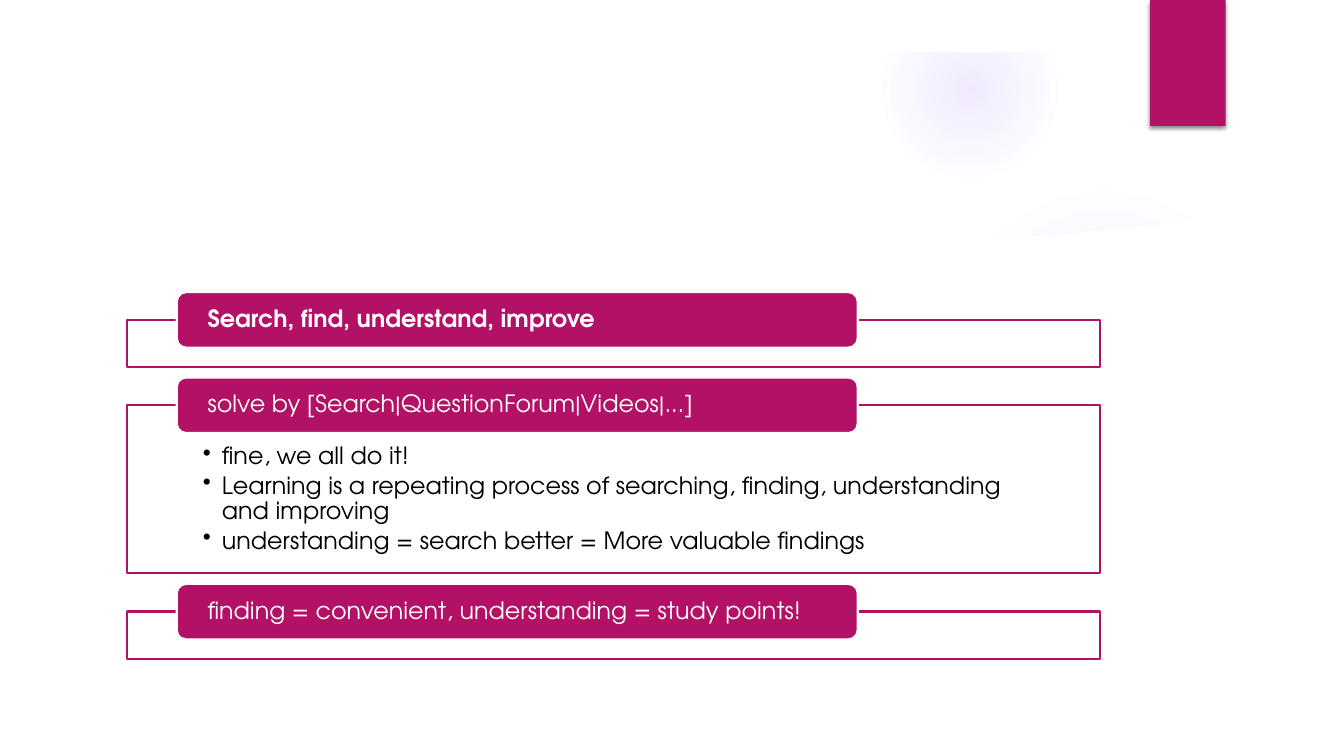
from lxml.etree import SubElement
from pptx import Presentation
from pptx.dml.color import RGBColor
from pptx.enum.shapes import MSO_SHAPE as SHAPE
from pptx.enum.text import MSO_ANCHOR as ANCHOR, PP_ALIGN as ALIGN
from pptx.oxml import parse_xml
from pptx.oxml.ns import nsdecls, qn
from pptx.util import Pt

COLORS = {"accent": "B31166", "glow": "9B6BF2", "white": "FFFFFF", "text": "000000"}
FONT = "TeX Gyre Adventor"
SECTIONS = [
    ("Search, find, understand, improve", True, 33.8, []),
    ("solve by [Search|QuestionForum|Videos|...]", False, 120.2, [
        "fine, we all do it!",
        "Learning is a repeating process of searching, finding, understanding and improving",
        "understanding = search better = More valuable findings",
    ]),
    ("finding = convenient, understanding = study points!", False, 33.8, []),
]
SECTION_GAP = 27.2
PANEL_EDGE = [(36, 147), (204, 165.6), (368, 175.7), (510, 178.6), (624, 176.4),
              (723, 170.6), (824, 161.3), (924, 147)]


def rgb(name):
    """Return the named colour."""
    return RGBColor.from_string(COLORS[name])


def style(shape, fill, line=None):
    """Give a shape a solid fill, an optional outline and no shadow."""
    shape.shadow.inherit = False
    shape.fill.solid()
    shape.fill.fore_color.rgb = rgb(fill)
    if line:
        shape.line.color.rgb = rgb(line)
        shape.line.width = Pt(1.5)
    else:
        shape.line.fill.background()
    return shape


def add_box(s, kind, box, fill, line=None):
    """Add a styled preset shape in a box given in points."""
    return style(s.shapes.add_shape(kind, *map(Pt, box)), fill, line)


def add_glow(s, box, stops):
    """Add a circle whose colour fades outwards through (position, alpha) stops."""
    glow = add_box(s, SHAPE.OVAL, box, "glow")
    gs = "".join(
        f'<a:gs pos="{pos * 1000}"><a:srgbClr val="{COLORS["glow"]}">'
        f'<a:alpha val="{alpha * 1000}"/></a:srgbClr></a:gs>' for pos, alpha in stops)
    fade = parse_xml(
        f'<a:gradFill {nsdecls("a")} rotWithShape="1"><a:gsLst>{gs}</a:gsLst>'
        '<a:path path="circle"><a:fillToRect l="50000" t="50000" r="50000" b="50000"/>'
        '</a:path></a:gradFill>')
    solid = glow.element.spPr.find(qn("a:solidFill"))
    solid.getparent().replace(solid, fade)


def add_backdrop(s, box):
    """Add the glows, the white areas that crop them and the corner ribbon."""
    x, y, w, h = box
    add_glow(s, (x + 677.5, y + 131.8, 221.8, 221.8), [(0, 7), (36, 6), (69, 0)])
    add_glow(s, (x + 630, y + 0.7, 126, 126), [(0, 14), (36, 7), (73, 0)])
    edge = [(Pt(x + px), Pt(y + py)) for px, py in PANEL_EDGE]
    bottom = Pt(y + h - 36)
    builder = s.shapes.build_freeform(*edge[0], scale=1.0)
    builder.add_line_segments(edge[1:] + [(edge[-1][0], bottom), (edge[0][0], bottom)])
    style(builder.convert_to_shape(), "white")
    add_box(s, SHAPE.RECTANGLE, (x, y, w, 37.4), "white")
    ribbon = add_box(s, SHAPE.RECTANGLE, (x + 821.5, y, 54, 90), "accent")
    effects = ribbon.element.spPr.find(qn("a:effectLst"))
    shadow = SubElement(effects, qn("a:outerShdw"), blurRad=str(Pt(3)), dist=str(Pt(2)),
                        dir="5400000", rotWithShape="0")
    black = SubElement(shadow, qn("a:srgbClr"), val=COLORS["text"])
    SubElement(black, qn("a:alpha"), val="45000")


def write(shape, lines, color, anchor, margins, bold=False, bullet=False):
    """Write left-aligned paragraphs into a shape."""
    tf = shape.text_frame
    names = ("margin_left", "margin_top", "margin_right", "margin_bottom")
    formats = dict(zip(names, map(Pt, margins)), word_wrap=True, vertical_anchor=anchor)
    for key, value in formats.items():
        setattr(tf, key, value)
    for i, line in enumerate(lines):
        p = tf.paragraphs[0] if i == 0 else tf.add_paragraph()
        for key, value in dict(alignment=ALIGN.LEFT, line_spacing=0.9,
                               space_after=Pt(2.5)).items():
            setattr(p, key, value)
        r = p.add_run()
        r.text = line
        for key, value in dict(name=FONT, size=Pt(17), bold=bold).items():
            setattr(r.font, key, value)
        r.font.color.rgb = rgb(color)
        if bullet:
            pPr = p._p.get_or_add_pPr()
            pPr.set("marL", str(Pt(13.5)))
            pPr.set("indent", str(Pt(-13.5)))
            SubElement(pPr, qn("a:buChar"), char="•")


def add_section(s, box, heading, bold, points):
    """Add an outlined frame with its points and a heading tab over its top edge."""
    x, y, w, h = box
    frame = add_box(s, SHAPE.RECTANGLE, box, "white", "accent")
    if points:
        write(frame, points, "text", ANCHOR.TOP, (54, 28, 54, 9.4), bullet=True)
    tab = add_box(s, SHAPE.ROUNDED_RECTANGLE, (x + 35.3, y - 19.7, w * 0.7, 39.6),
                  "accent", "white")
    write(tab, [heading], "white", ANCHOR.MIDDLE, (20, 0, 20, 0), bold=bold)


def add_sections(s, box):
    """Stack the sections with equal gaps."""
    x, y, w = box
    for heading, bold, h, points in SECTIONS:
        add_section(s, (x, y, w, h), heading, bold, points)
        y += h + SECTION_GAP


def main():
    """Build and save the slide."""
    prs = Presentation()
    prs.slide_width, prs.slide_height = Pt(960), Pt(540)
    s = prs.slides.add_slide(prs.slide_layouts[6])
    add_backdrop(s, (0, 0, 960, 540))
    add_sections(s, (91, 228.4, 694.8))
    prs.save("out.pptx")


if __name__ == "__main__":
    main()
